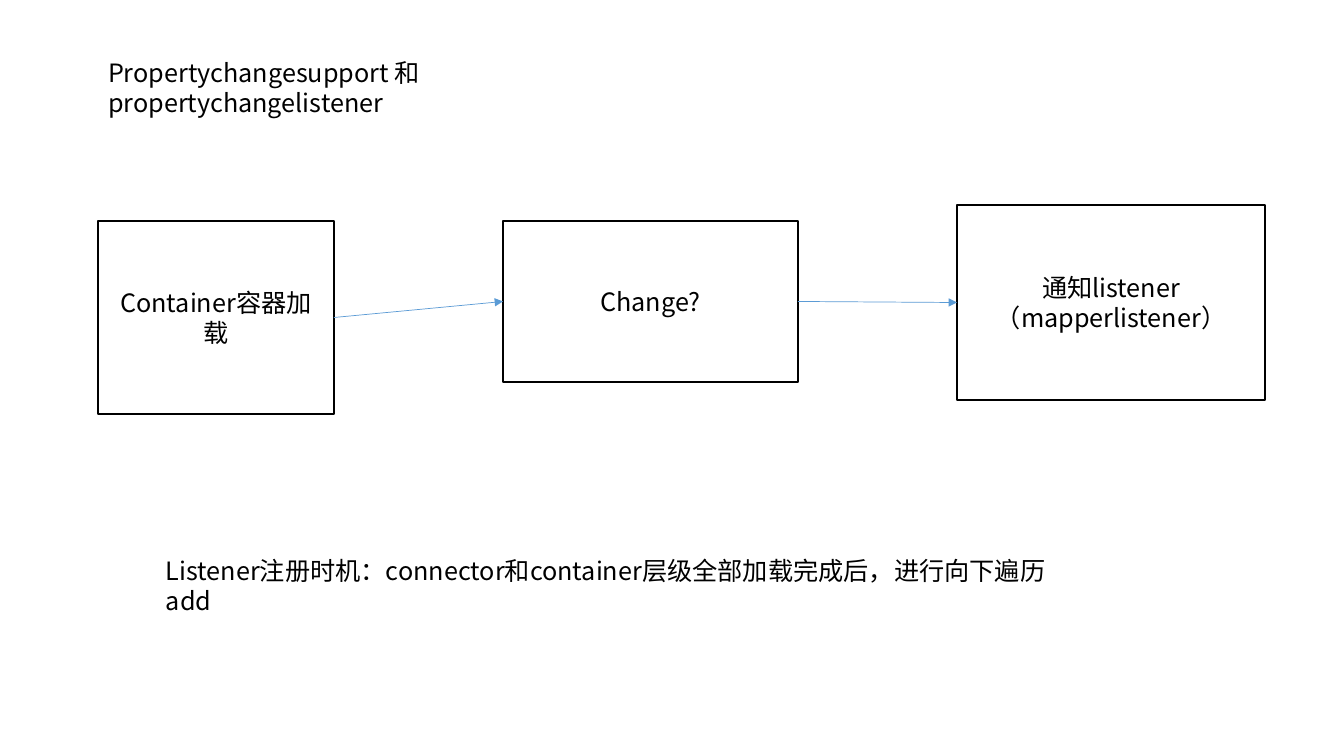
from dataclasses import dataclass
from pptx import Presentation
from pptx.dml.color import RGBColor
from pptx.enum.shapes import MSO_CONNECTOR, MSO_SHAPE
from pptx.enum.text import MSO_ANCHOR, MSO_AUTO_SIZE, PP_ALIGN
from pptx.oxml.ns import qn
from pptx.util import Pt
from lxml.etree import SubElement


@dataclass(frozen=True)
class Theme:
    font: str = "Noto Sans CJK SC"
    size: int = Pt(18)
    ink: RGBColor = RGBColor(0, 0, 0)
    paper: RGBColor = RGBColor(255, 255, 255)
    arrow: RGBColor = RGBColor(0x5B, 0x9B, 0xD5)
    border: int = Pt(1)
    arrow_width: int = Pt(0.5)


theme = Theme()
PX = 9144000 // 1008


def place(shape, *box):
    shape.left, shape.top, shape.width, shape.height = [v * PX for v in box]


def write(shape, text, align, anchor):
    tf = shape.text_frame
    tf.text = text
    tf.word_wrap = True
    tf.auto_size = MSO_AUTO_SIZE.NONE
    tf.vertical_anchor = anchor
    for p in tf.paragraphs:
        p.alignment = align
        for r in p.runs:
            r.font.name = theme.font
            r.font.size = theme.size
            r.font.color.rgb = theme.ink
            SubElement(r.font._element, qn("a:ea")).set("typeface", theme.font)


prs = Presentation()
prs.slide_width, prs.slide_height = 1344 * PX, 756 * PX
s = prs.slides.add_slide(prs.slide_layouts[5])

title = s.shapes.title
place(title, 98, 52, 572, 40)
write(title, "Propertychangesupport 和propertychangelistener", PP_ALIGN.LEFT, MSO_ANCHOR.TOP)

steps = [
    ("Container容器加载", (98, 221, 236, 193)),
    ("Change?", (503, 221, 295, 161)),
    ("通知listener\n（mapperlistener）", (957, 205, 308, 195)),
]
boxes = []
for text, box in steps:
    sp = s.shapes.add_shape(MSO_SHAPE.RECTANGLE, 0, 0, 0, 0)
    place(sp, *box)
    sp.shadow.inherit = False
    sp.fill.solid()
    sp.fill.fore_color.rgb = theme.paper
    sp.line.color.rgb = theme.ink
    sp.line.width = theme.border
    write(sp, text, PP_ALIGN.CENTER, MSO_ANCHOR.MIDDLE)
    boxes.append(sp)

for start, end in zip(boxes, boxes[1:]):
    arrow = s.shapes.add_connector(MSO_CONNECTOR.STRAIGHT, 0, 0, 0, 0)
    arrow.begin_connect(start, 3)
    arrow.end_connect(end, 1)
    arrow.line.color.rgb = theme.arrow
    arrow.line.width = theme.arrow_width
    SubElement(arrow.line._get_or_add_ln(), qn("a:tailEnd")).set("type", "triangle")
    SubElement(arrow._element.spPr, qn("a:effectLst"))

note = s.shapes.add_textbox(0, 0, 0, 0)
place(note, 156, 550, 919, 40)
write(note, "Listener注册时机：connector和container层级全部加载完成后，进行向下遍历add", PP_ALIGN.LEFT, MSO_ANCHOR.TOP)

prs.save("out.pptx")
